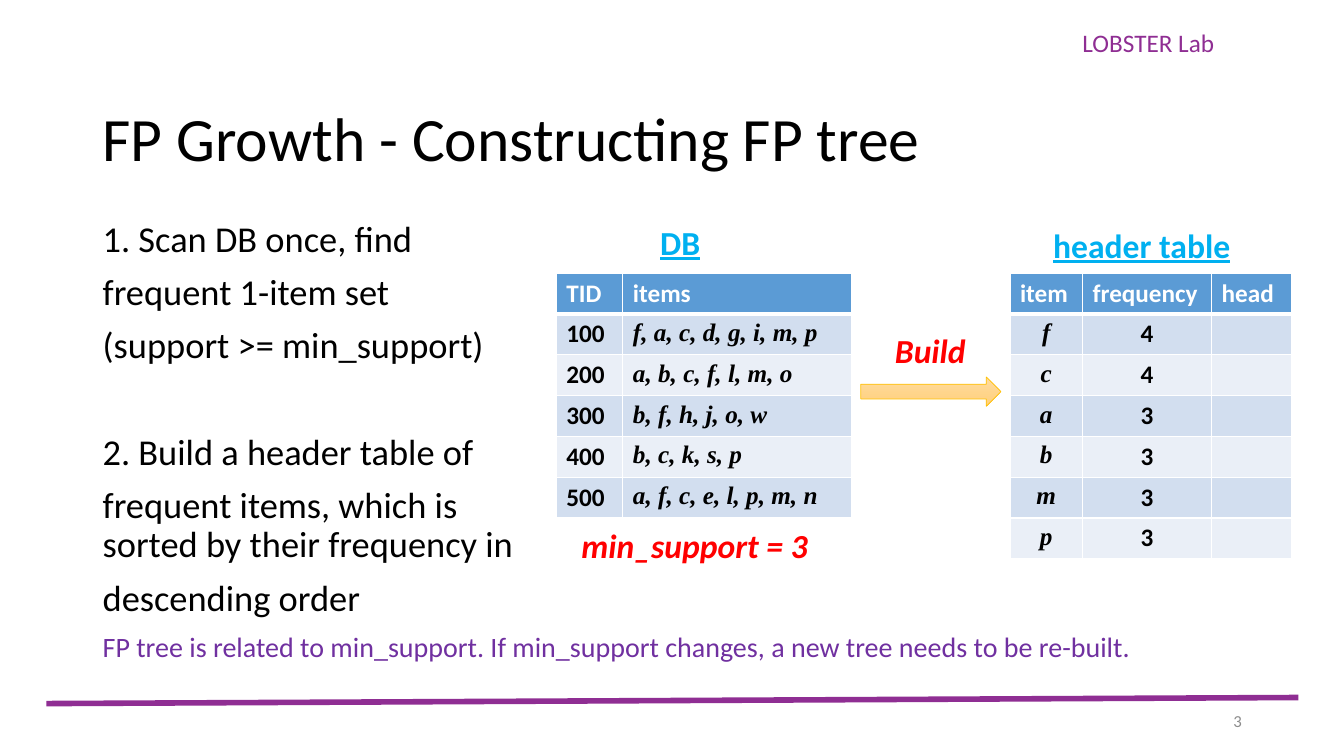
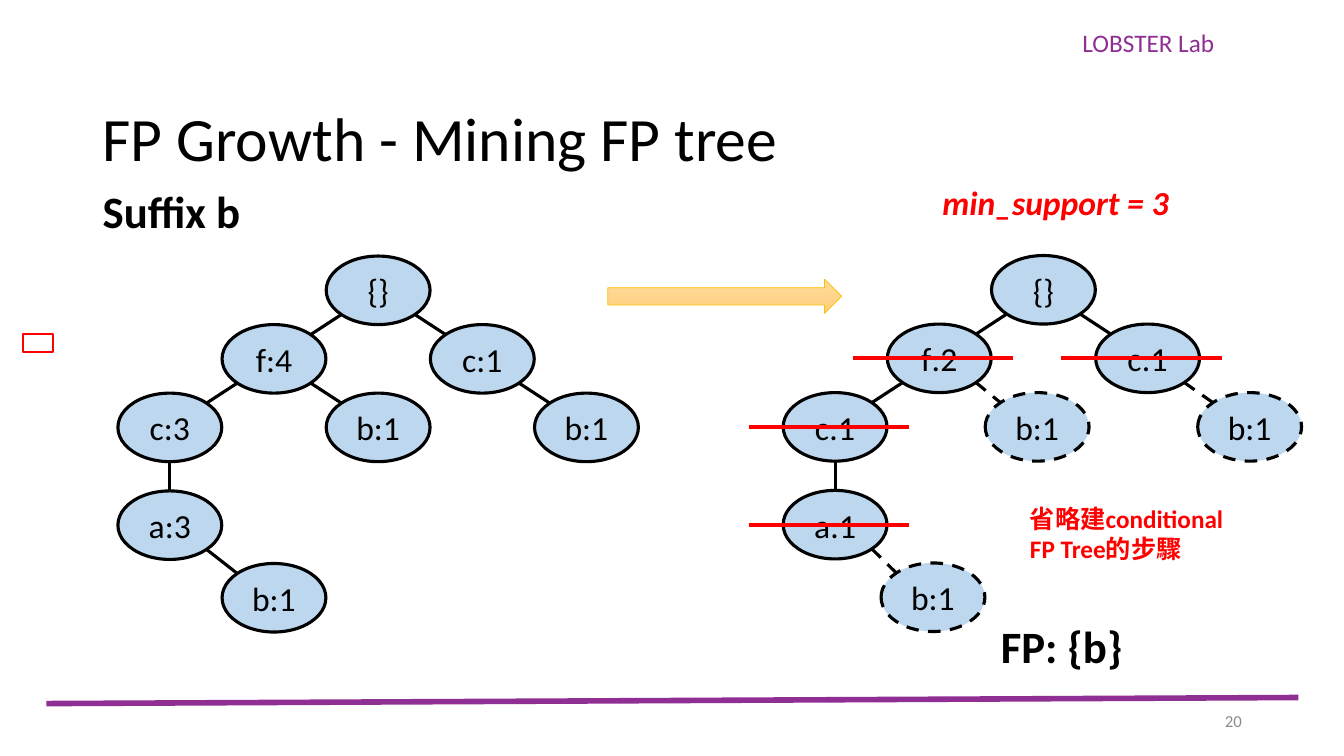
from math import sqrt
from lxml.etree import SubElement
from pptx import Presentation
from pptx.dml.color import RGBColor
from pptx.enum.dml import MSO_LINE
from pptx.enum.shapes import MSO_CONNECTOR, MSO_SHAPE
from pptx.enum.text import MSO_ANCHOR, PP_ALIGN
from pptx.oxml import parse_xml
from pptx.oxml.ns import nsdecls, qn
from pptx.util import Inches, Pt

WIDTH, HEIGHT = Inches(13.33), Inches(7.5)
COLUMN, ROW = WIDTH / 40, HEIGHT / 30

BLACK = RGBColor(0x00, 0x00, 0x00)
WHITE = RGBColor(0xFF, 0xFF, 0xFF)
RED = RGBColor(0xFF, 0x00, 0x00)
PLUM = RGBColor(0x8F, 0x2E, 0x93)
VIOLET = RGBColor(0x70, 0x30, 0xA0)
GRAY = RGBColor(0x8C, 0x8C, 0x8C)
SKY = RGBColor(0x00, 0xB0, 0xF0)
NODE_BLUE = RGBColor(0xBD, 0xD7, 0xEE)
HEADER_BLUE = RGBColor(0x5B, 0x9B, 0xD5)
ROW_FILLS = RGBColor(0xD2, 0xDE, 0xEF), RGBColor(0xEA, 0xEF, 0xF7)
ARROW_FILLS = RGBColor(0xFF, 0xDB, 0x9E), RGBColor(0xFF, 0xD0, 0x7C)
ARROW_LINE = RGBColor(0xFF, 0xC0, 0x00)

BASE = {"name": "Calibri"}
TITLE = BASE | {"size": Pt(44)}
BODY = BASE | {"size": Pt(26)}
REMARK = BASE | {"size": Pt(20)}
NUMBER = BASE | {"size": Pt(12)}
LABEL = BASE | {"size": Pt(18)}
NODE = BASE | {"size": Pt(24)}
HEADING = BASE | {"size": Pt(32), "bold": True}
CAPTION = NODE | {"bold": True, "underline": True}
EMPHASIS = NODE | {"bold": True, "italic": True}
CELL = LABEL | {"bold": True}
ITEM = CELL | {"name": "Times New Roman", "italic": True}

NODE_WIDTH, NODE_HEIGHT, NODE_STEP = 3.09, 2.72, 3.1
LEVELS = 0, 2.72, 5.44, 9.32, 12.2
STRIKE_WIDTH, STRIKE_SHIFT = 4.77, -0.18


def place(columns, rows):
    return round(columns * COLUMN), round(rows * ROW)


def place_box(box):
    return place(*box[:2]) + place(*box[2:])


def set_formats(target, formats):
    for name, value in formats.items():
        setattr(target, name, value)


def write(paragraph, text, font, color, **formats):
    paragraph.text = text
    set_formats(paragraph, formats)
    set_formats(paragraph.font, font)
    paragraph.font.color.rgb = color


def add_text(slide, box, text, font, color, anchor=MSO_ANCHOR.TOP, **formats):
    frame = slide.shapes.add_textbox(*place_box(box)).text_frame
    set_formats(frame, {"word_wrap": True, "vertical_anchor": anchor})
    write(frame.paragraphs[0], text, font, color, **formats)
    return frame


def add_line(slide, start, end, color=BLACK, width=2.25, dash=None):
    connector = slide.shapes.add_connector(
        MSO_CONNECTOR.STRAIGHT, *place(*start), *place(*end))
    connector.line.color.rgb = color
    set_formats(connector.line, {"width": Pt(width), "dash_style": dash})
    SubElement(connector._element.spPr, qn("a:effectLst"))


def add_figure(slide, kind, box, color, width, dash=None):
    shape = slide.shapes.add_shape(kind, *place_box(box))
    shape.shadow.inherit = False
    shape.line.color.rgb = color
    set_formats(shape.line, {"width": Pt(width), "dash_style": dash})
    return shape


def add_arrow(slide, box):
    fill = add_figure(slide, MSO_SHAPE.RIGHT_ARROW, box, ARROW_LINE, 0.5).fill
    fill.gradient()
    fill.gradient_angle = 270
    for stop, color in zip(fill.gradient_stops, ARROW_FILLS):
        stop.color.rgb = color


def add_frame(presentation, title, number):
    slide = presentation.slides.add_slide(presentation.slide_layouts[6])
    add_text(slide, (31.92, 0.88, 4.89, 1.6), "LOBSTER Lab", LABEL, PLUM)
    add_line(slide, (1.38, 27.92), (38.64, 27.68), PLUM, 4)
    add_text(slide, (2.76, 2.72, 34.5, 5.8), title, TITLE, BLACK,
             MSO_ANCHOR.MIDDLE, line_spacing=0.9)
    add_text(slide, (28.26, 27.8, 9, 1.6), number, NUMBER, GRAY,
             MSO_ANCHOR.MIDDLE, alignment=PP_ALIGN.RIGHT)
    return slide


def add_threshold(slide, left, top):
    add_text(slide, (left, top, 7.89, 2), "min_support = 3", EMPHASIS, RED)


def add_steps(slide, box, steps):
    frame = add_text(slide, box, "", BODY, BLACK)
    for index, (text, font, color, before) in enumerate(steps):
        paragraph = frame.add_paragraph() if index else frame.paragraphs[0]
        write(paragraph, text, font, color,
              line_spacing=0.9, space_before=Pt(before))


def set_borders(cell, bottom):
    properties = cell._tc.get_or_add_tcPr()
    widths = {"lnL": 1, "lnR": 1, "lnT": 1, "lnB": bottom}
    for index, (side, width) in enumerate(widths.items()):
        properties.insert(index, parse_xml(
            f'<a:{side} {nsdecls("a")} w="{Pt(width)}"><a:solidFill>'
            f'<a:srgbClr val="{WHITE}"/></a:solidFill></a:{side}>'))


def add_grid(slide, left, top, widths, rows, item_column, alignment):
    row_height = 1.62
    box = left, top, sum(widths), row_height * len(rows)
    table = slide.shapes.add_table(
        len(rows), len(widths), *place_box(box)).table
    for column, width in zip(table.columns, widths):
        column.width = round(width * COLUMN)
    for row_index, row in enumerate(rows):
        header = row_index == 0
        for column_index, text in enumerate(row):
            cell = table.cell(row_index, column_index)
            cell.fill.solid()
            cell.fill.fore_color.rgb = (
                HEADER_BLUE if header else ROW_FILLS[(row_index - 1) % 2])
            set_borders(cell, 3 if header else 1)
            font = ITEM if column_index == item_column and not header else CELL
            write(cell.text_frame.paragraphs[0], text, font,
                  WHITE if header else BLACK,
                  alignment=PP_ALIGN.LEFT if header else alignment)


def add_edge(slide, parent, child, dash):
    direction = (child[0] > parent[0]) - (child[0] < parent[0])
    share = 1 / sqrt(2) if direction else 1
    across = direction * share * NODE_WIDTH / 2
    down = share * NODE_HEIGHT / 2
    add_line(slide, (parent[0] + across, parent[1] + down),
             (child[0] - across, child[1] - down), dash=dash)


def add_tree(slide, left, top, nodes):
    centers = []
    for text, parent, column, level, style in nodes:
        x, y = left + column * NODE_STEP, top + LEVELS[level]
        center = x + NODE_WIDTH / 2, y + NODE_HEIGHT / 2
        centers.append(center)
        dash = MSO_LINE.DASH if style == "dashed" else None
        shape = add_figure(slide, MSO_SHAPE.OVAL,
                           (x, y, NODE_WIDTH, NODE_HEIGHT), BLACK, 2.25, dash)
        shape.fill.solid()
        shape.fill.fore_color.rgb = NODE_BLUE
        write(shape.text_frame.paragraphs[0], text, NODE, BLACK,
              alignment=PP_ALIGN.CENTER)
        if parent is not None:
            add_edge(slide, centers[parent], center, dash)
        if style == "struck":
            start = center[0] + STRIKE_SHIFT - STRIKE_WIDTH / 2
            add_line(slide, (start, center[1]),
                     (start + STRIKE_WIDTH, center[1]), RED, 3)


def build_constructing(presentation):
    slide = add_frame(presentation, "FP Growth - Constructing FP tree", "3")
    add_steps(slide, (2.76, 8.56, 34.5, 19.04), [
        ("1. Scan DB once, find", BODY, BLACK, 10),
        ("frequent 1-item set", BODY, BLACK, 10),
        ("(support >= min_support)", BODY, BLACK, 10),
        ("2. Build a header table of", BODY, BLACK, 48),
        ("frequent items, which is \vsorted by their frequency in",
         BODY, BLACK, 10),
        ("descending order", BODY, BLACK, 10),
        ("FP tree is related to min_support. If min_support changes, "
         "a new tree needs to be re-built.", REMARK, VIOLET, 10),
    ])
    add_grid(slide, 16.56, 10.84, (1.98, 6.81), [
        ("TID", "items"),
        ("100", "f, a, c, d, g, i, m, p"),
        ("200", "a, b, c, f, l, m, o"),
        ("300", "b, f, h, j, o, w"),
        ("400", "b, c, k, s, p"),
        ("500", "a, f, c, e, l, p, m, n"),
    ], 1, PP_ALIGN.LEFT)
    frequencies = zip("fcabmp", "443333")
    add_grid(slide, 30.06, 10.84, (2.16, 3.84, 2.37),
             [("item", "frequency", "head")]
             + [(item, count, "") for item, count in frequencies],
             0, PP_ALIGN.CENTER)
    add_arrow(slide, (25.62, 14.96, 4.17, 1.16))
    add_text(slide, (25.77, 12.88, 3.84, 2), "Build", EMPHASIS, RED,
             alignment=PP_ALIGN.CENTER)
    add_threshold(slide, 17.01, 20.64)
    add_text(slide, (19.35, 8.6, 3.21, 2), "DB", CAPTION, SKY)
    add_text(slide, (31.05, 8.72, 6.21, 2), "header table", CAPTION, SKY)


def build_mining(presentation):
    slide = add_frame(presentation, "FP Growth - Mining FP tree", "20")
    add_text(slide, (2.76, 7.08, 10.5, 2.56), "Suffix b", HEADING, BLACK)
    add_threshold(slide, 27.75, 7.04)
    add_tree(slide, 3.51, 10.16, [
        ("{}", None, 2, 0, "plain"),
        ("f:4", 0, 1, 1, "plain"),
        ("c:3", 1, 0, 2, "plain"),
        ("a:3", 2, 0, 3, "plain"),
        ("b:1", 3, 1, 4, "plain"),
        ("b:1", 1, 2, 2, "plain"),
        ("c:1", 0, 3, 1, "plain"),
        ("b:1", 6, 4, 2, "plain"),
    ])
    add_tree(slide, 23.31, 10.14, [
        ("{}", None, 2, 0, "plain"),
        ("f:2", 0, 1, 1, "struck"),
        ("c:1", 1, 0, 2, "struck"),
        ("a:1", 2, 0, 3, "struck"),
        ("b:1", 3, 0.94, 4, "dashed"),
        ("b:1", 1, 1.94, 2, "dashed"),
        ("c:1", 0, 3, 1, "struck"),
        ("b:1", 6, 3.98, 2, "dashed"),
    ])
    add_arrow(slide, (18.09, 11.08, 6.96, 1.36))
    add_text(slide, (29.49, 24.36, 10.5, 2.56), "FP: {b}", HEADING, BLACK)
    marker = add_figure(slide, MSO_SHAPE.RECTANGLE,
                        (0.69, 13.24, 0.9, 0.72), RED, 1.5)
    marker.fill.background()
    add_text(slide, (30.36, 19.76, 6.51, 2.84),
             "省略建conditional FP Tree的步驟", CELL, RED)


def main():
    presentation = Presentation()
    set_formats(presentation, {"slide_width": WIDTH, "slide_height": HEIGHT})
    build_constructing(presentation)
    build_mining(presentation)
    presentation.save("out.pptx")


if __name__ == "__main__":
    main()
